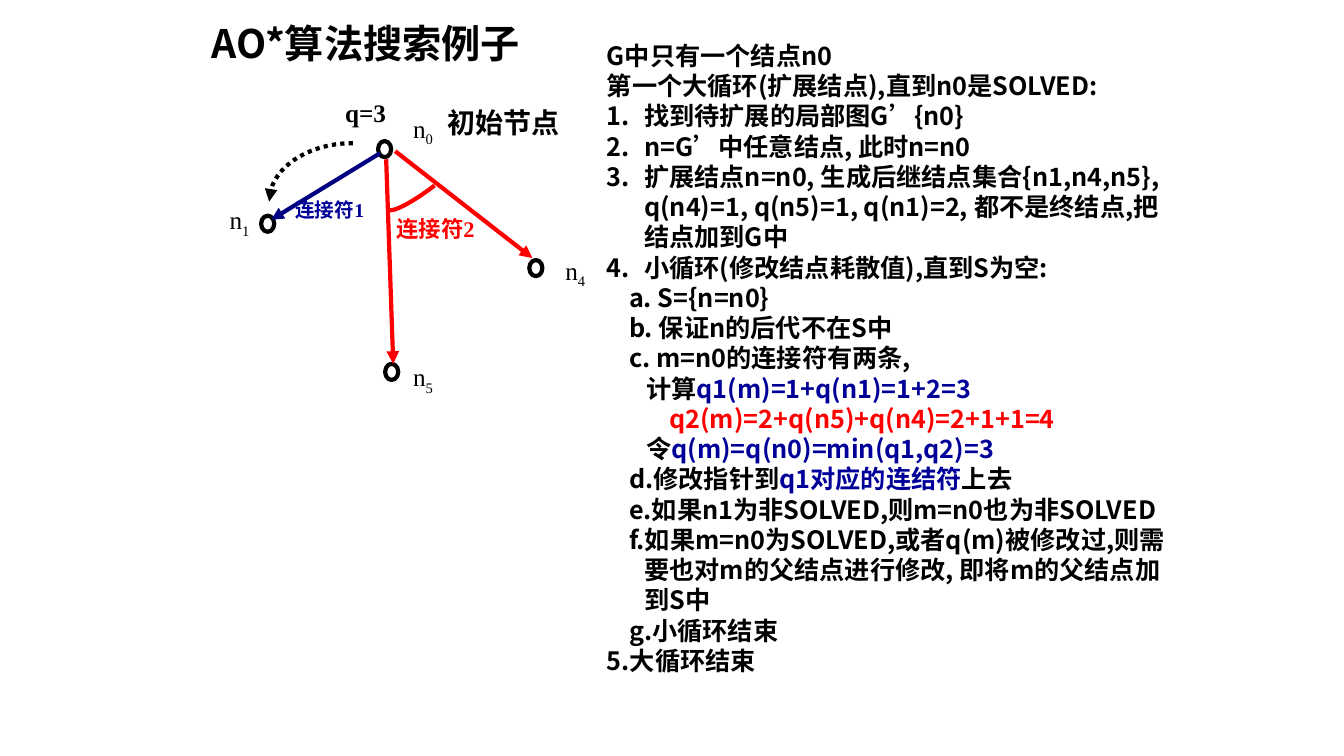
from lxml.etree import SubElement
from pptx import Presentation
from pptx.dml.color import RGBColor
from pptx.enum.dml import MSO_LINE
from pptx.enum.shapes import MSO_CONNECTOR, MSO_SHAPE
from pptx.enum.text import MSO_ANCHOR, PP_ALIGN
from pptx.oxml.ns import qn
from pptx.util import Inches, Pt

SANS, SERIF = "Noto Sans CJK SC", "Times New Roman"
BLACK, BLUE, NAVY, RED = "000000", "000099", "000080", "FF0000"

# Content: each line is (first-line left, numbered, spans); a span is text, color, font
HANG, STEP, RESULT, SECOND_RESULT = 0.37, 0.22, 0.39, 0.62
LINES = [
    (0, False, [("G中只有一个结点n0",)]),
    (0, False, [("第一个大循环(扩展结点),直到n0是SOLVED:",)]),
    (0, True, [("找到待扩展的局部图G",), ("’", BLACK, SERIF), ("{n0}",)]),
    (0, True, [("n=G",), ("’", BLACK, SERIF), ("中任意结点, 此时n=n0",)]),
    (0, True, [("扩展结点n=n0, 生成后继结点集合{n1,n4,n5}, q(n4)=1, q(n5)=1, "
                "q(n1)=2, 都不是终结点,把结点加到G中",)]),
    (0, True, [("小循环(修改结点耗散值),直到S为空:",)]),
    (STEP, False, [("a. S={n=n0}",)]),
    (STEP, False, [("b. 保证n的后代不在S中",)]),
    (STEP, False, [("c. m=n0的连接符有两条,",)]),
    (RESULT, False, [("计算",), ("q1(m)=1+q(n1)=1+2=3", BLUE)]),
    (SECOND_RESULT, False, [("q2(m)=2+q(n5)+q(n4)=2+1+1=4", RED)]),
    (RESULT, False, [("令",), ("q(m)=q(n0)=min(q1,q2)=3", BLUE)]),
    (STEP, False, [("d.修改指针到",), ("q1对应的连结符", BLUE), ("上去",)]),
    (STEP, False, [("e.如果n1为非SOLVED,则m=n0也为非SOLVED",)]),
    (STEP, False, [("f.如果m=n0为SOLVED,或者q(m)被修改过,则需要也对m的父结点进行修改, "
                    "即将m的父结点加到S中",)]),
    (STEP, False, [("g.小循环结束",)]),
    (0, False, [("5.大循环结束",)]),
]
# Node: index, circle left and top, label left and top
NODES = [("0", 3.75, 1.4, 3.99, 1.09), ("1", 2.59, 2.14, 2.17, 2),
         ("4", 5.25, 2.58, 5.5, 2.5), ("5", 3.82, 3.61, 3.99, 3.56)]
ARROWS = [((3.77, 1.52), (2.69, 2.18), NAVY),
          ((3.83, 1.58), (3.9, 3.61), RED),
          ((3.92, 1.5), (5.28, 2.56), RED)]
# Label: text, box, size, color, wrap
LABELS = [("初始节点", (4.33, 1, 1.32, 0.43), 20, BLACK, False),
          ("连接符1", (2.83, 1.92, 0.88, 0.33), 14, BLUE, True),
          ("连接符2", (3.83, 2.08, 0.98, 0.37), 16, RED, True),
          ("q=3", (3.25, 0.92, 0.75, 0.4), 18, BLACK, True)]
# Curves as four Bezier control points
JOINT_ARC = [(4.31, 1.84), (4.09, 2.01), (3.89, 2.11), (3.86, 2.08)]
POINTER_ARC = [(3.5, 1.42), (3.04, 1.42), (2.67, 1.68), (2.67, 2)]

deck = Presentation()
deck.slide_width, deck.slide_height = Inches(13.33), Inches(7.5)
page = deck.slides.add_slide(deck.slide_layouts[6])


def color_of(code):
    return RGBColor.from_string(code)


def add_box(left, top, width, height, anchor=MSO_ANCHOR.MIDDLE, wrap=True):
    box = page.shapes.add_textbox(*map(Inches, (left, top, width, height)))
    frame = box.text_frame
    frame.word_wrap, frame.vertical_anchor = wrap, anchor
    return frame


def write(para, text, size=18, color=BLACK, font=SANS, bold=True, base=None):
    span = para.add_run()
    span.text = text
    span.font.size, span.font.bold, span.font.name = Pt(size), bold, font
    span.font.color.rgb = color_of(color)
    properties = span.font._element
    properties.set("lang", "zh-CN")
    SubElement(properties, qn("a:ea")).set("typeface", SANS)
    if base:
        properties.set("baseline", str(base * 1000))


def style_line(shape, color, arrow=False, dash=None):
    shape.line.color.rgb, shape.line.width = color_of(color), Pt(3)
    if dash:
        shape.line.dash_style = dash
    if arrow:
        SubElement(shape.line._get_or_add_ln(), qn("a:tailEnd")).set("type", "triangle")


def add_curve(points, color, **line_format):
    def at(t):
        weights = ((1 - t) ** 3, 3 * t * (1 - t) ** 2, 3 * t * t * (1 - t), t ** 3)
        return tuple(Inches(sum(w * p[axis] for w, p in zip(weights, points)))
                     for axis in (0, 1))

    track = [at(step / 24) for step in range(25)]
    builder = page.shapes.build_freeform(*track[0])
    builder.add_line_segments(track[1:], close=False)
    curve = builder.convert_to_shape()
    curve.shadow.inherit = False
    curve.fill.background()
    style_line(curve, color, **line_format)


# Title
title = add_box(2, 0, 8.5, 0.9).paragraphs[0]
title.line_spacing = 0.9
write(title, "AO*算法搜索例子", size=28)

# Algorithm steps
steps = add_box(5.92, 0.35, 5.75, 6.75, anchor=MSO_ANCHOR.TOP)
for index, (left, numbered, spans) in enumerate(LINES):
    para = steps.add_paragraph() if index else steps.paragraphs[0]
    layout = para._p.get_or_add_pPr()
    layout.set("marL", str(Inches(HANG)))
    layout.set("indent", str(Inches(left - HANG)))
    if numbered:
        SubElement(layout, qn("a:buFont")).set("typeface", SANS)
        SubElement(layout, qn("a:buAutoNum")).set("type", "arabicPeriod")
    for text, color, font in ((span + (BLACK, SANS)[len(span) - 1:]) for span in spans):
        write(para, text, color=color, font=font)

# Graph nodes
for number, left, top, label_left, label_top in NODES:
    node = page.shapes.add_shape(MSO_SHAPE.OVAL, *map(Inches, (left, top, 0.13, 0.16)))
    node.shadow.inherit = False
    node.fill.background()
    style_line(node, BLACK)
    para = add_box(label_left, label_top, 0.41, 0.4, wrap=False).paragraphs[0]
    para.alignment = PP_ALIGN.CENTER
    write(para, "n", font=SERIF, bold=False)
    write(para, number, font=SERIF, bold=False, base=-25)

# Connectors between nodes
for start, end, color in ARROWS:
    arrow = page.shapes.add_connector(MSO_CONNECTOR.STRAIGHT, *map(Inches, start + end))
    style_line(arrow, color, arrow=True)
    SubElement(arrow._element.spPr, qn("a:effectLst"))
add_curve(JOINT_ARC, RED)
add_curve(POINTER_ARC, BLACK, arrow=True, dash=MSO_LINE.ROUND_DOT)

# Graph labels
for text, place, size, color, wrap in LABELS:
    para = add_box(*place, wrap=wrap).paragraphs[0]
    para.alignment = PP_ALIGN.CENTER
    write(para, text, size=size, color=color, font=SERIF)

deck.save("out.pptx")
